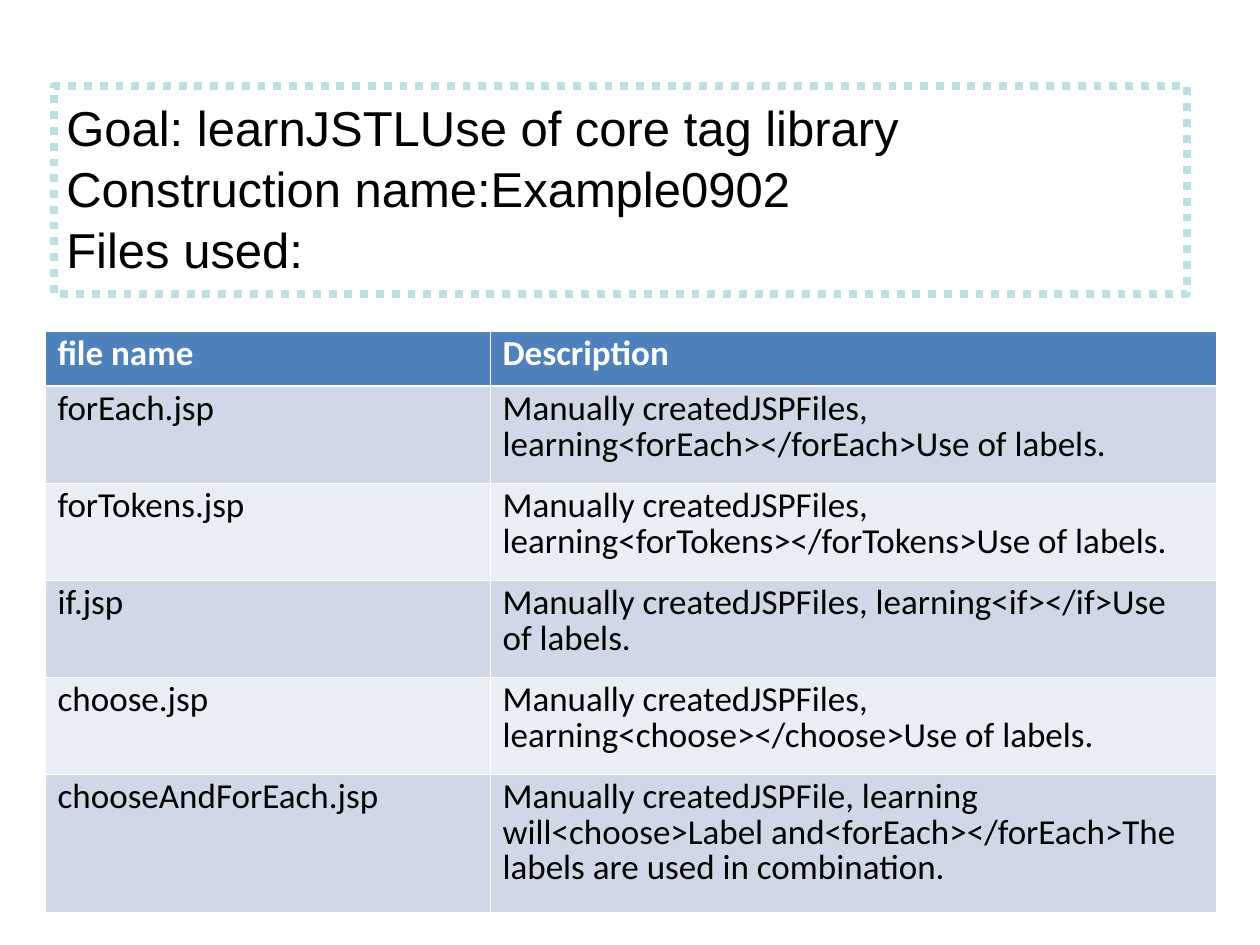
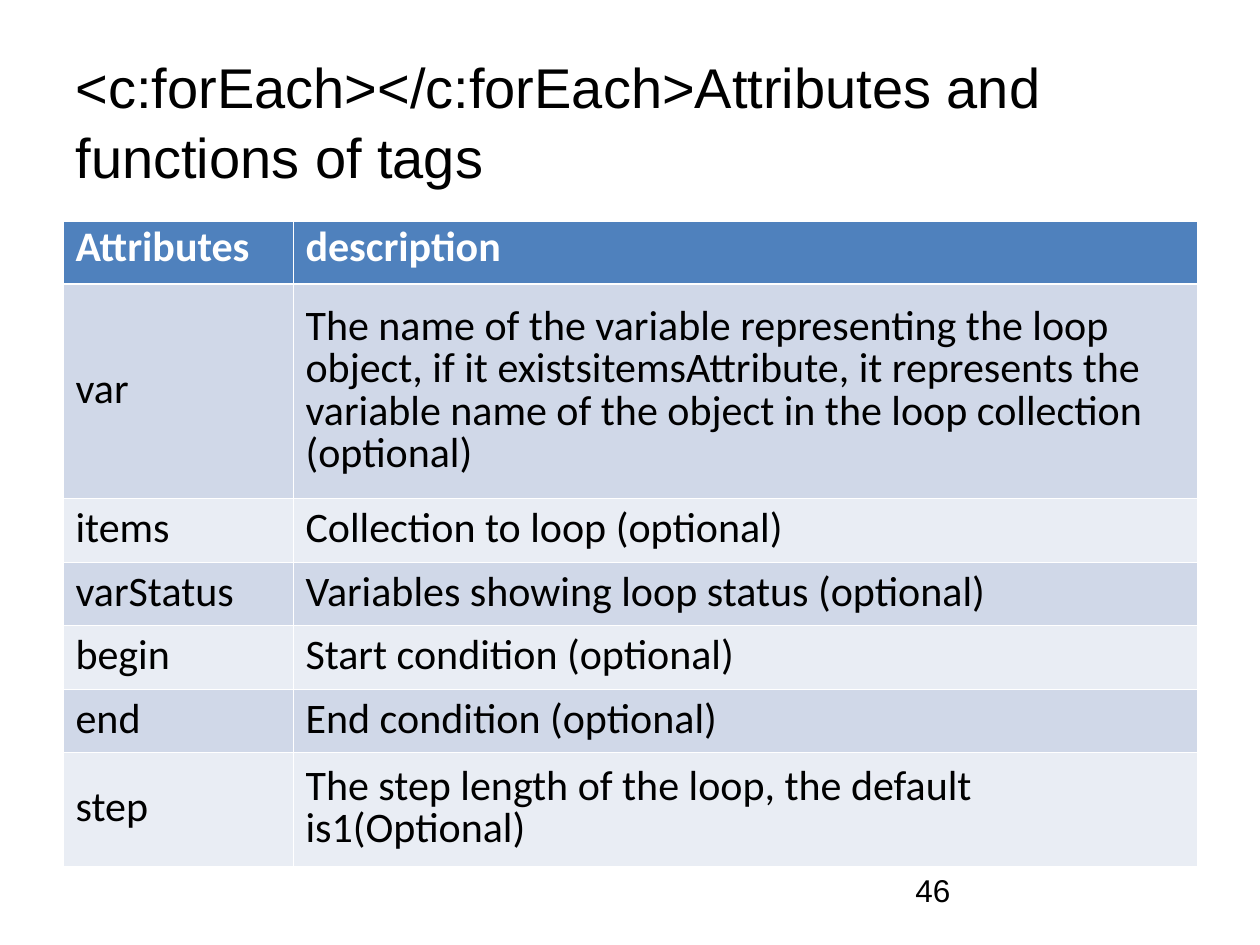
from dataclasses import dataclass

from pptx import Presentation
from pptx.dml.color import RGBColor
from pptx.enum.dml import MSO_LINE
from pptx.enum.text import MSO_ANCHOR, MSO_AUTO_SIZE, PP_ALIGN
from pptx.oxml import parse_xml
from pptx.oxml.ns import nsdecls
from pptx.util import Pt

PX = 914400 / 126  # one px in EMU
SLIDE_SIZE = (1260, 945)
TITLE_ONLY, BLANK = 5, 6


@dataclass(frozen=True)
class Theme:
    text: str = "000000"
    white: str = "FFFFFF"
    header: str = "4F81BD"
    bands: tuple = ("D0D8E8", "E9EDF4")
    frame: str = "BBE0E3"
    text_font: str = "Arial"
    table_font: str = "Calibri"
    title_size: int = 32
    goal_size: int = 28
    number_size: int = 18
    text_spacing: float = 1.04
    table_spacing: float = 0.83
    rule: float = 0.23
    header_rule: float = 0.75
    frame_width: float = 4.5


THEME = Theme()

GOAL = {
    "box": (54, 86, 1133, 208),
    "lines": [
        "Goal: learnJSTLUse of core tag library",
        "Construction name:Example0902",
        "Files used:",
    ],
}

FILES = {
    "at": (45, 331),
    "cols": (445, 726),
    "heights": (55, 97, 97, 97, 97, 138),
    "size": 20,
    "anchor": MSO_ANCHOR.TOP,
    "rows": [
        ("file name", "Description"),
        ("forEach.jsp", "Manually createdJSPFiles, learning<forEach></forEach>Use of labels."),
        ("forTokens.jsp", "Manually createdJSPFiles, learning<forTokens></forTokens>Use of labels."),
        ("if.jsp", "Manually createdJSPFiles, learning<if></if>Use of labels."),
        ("choose.jsp", "Manually createdJSPFiles, learning<choose></choose>Use of labels."),
        ("chooseAndForEach.jsp", "Manually createdJSPFile, learning will<choose>Label and"
                                 "<forEach></forEach>The labels are used in combination."),
    ],
}

TITLE = {
    "box": (63, 38, 1134, 158),
    "lines": ["<c:forEach></c:forEach>Attributes and functions of tags"],
}

ATTRIBUTES = {
    "at": (63, 221),
    "cols": (230, 904),
    "heights": (63, 214, 64, 63, 64, 63, 114),
    "size": 24,
    "anchor": MSO_ANCHOR.MIDDLE,
    "rows": [
        ("Attributes", "description"),
        ("var", "The name of the variable representing the loop object, if it "
                "existsitemsAttribute, it represents the variable name of the object "
                "in the loop collection (optional)"),
        ("items", "Collection to loop (optional)"),
        ("varStatus", "Variables showing loop status (optional)"),
        ("begin", "Start condition (optional)"),
        ("end", "End condition (optional)"),
        ("step", "The step length of the loop, the default is1(Optional)"),
    ],
}

PAGE_NUMBER = {"box": (903, 861, 294, 66), "lines": ["46"]}


def emu(*lengths):
    return [round(n * PX) for n in lengths]


def rgb(color):
    return RGBColor.from_string(color)


def style(p, font, size, color, spacing, bold=False):
    p.alignment = PP_ALIGN.LEFT
    p.line_spacing = spacing
    p.font.name, p.font.size, p.font.bold = font, Pt(size), bold
    p.font.color.rgb = rgb(color)


def fill_text(sp, block, size, anchor=MSO_ANCHOR.TOP, inset_top=9):
    """Place a text shape and write its lines in the shared text style."""
    sp.left, sp.top, sp.width, sp.height = emu(*block["box"])
    tf = sp.text_frame
    tf.word_wrap = True
    tf.auto_size = MSO_AUTO_SIZE.NONE
    tf.vertical_anchor = anchor
    tf.margin_top, = emu(inset_top)
    tf.text = "\n".join(block["lines"])
    for p in tf.paragraphs:
        style(p, THEME.text_font, size, THEME.text, THEME.text_spacing)


def add_text(slide, block, size):
    sp = slide.shapes.add_textbox(*emu(*block["box"]))
    fill_text(sp, block, size)
    return sp


def add_borders(cell, row):
    """Rule all four sides, heavier between the header and the first row."""
    widths = {"L": THEME.rule, "R": THEME.rule,
              "T": THEME.header_rule if row == 1 else THEME.rule,
              "B": THEME.header_rule if row == 0 else THEME.rule}
    tc_pr = cell._tc.get_or_add_tcPr()
    for side, width in widths.items():
        tc_pr.append(parse_xml(
            f'<a:ln{side} {nsdecls("a")} w="{Pt(width)}"><a:solidFill>'
            f'<a:srgbClr val="{THEME.white}"/></a:solidFill></a:ln{side}>'))


def add_banded_table(slide, data):
    cols, heights = data["cols"], data["heights"]
    table = slide.shapes.add_table(
        len(heights), len(cols), *emu(*data["at"], sum(cols), sum(heights))).table
    table.first_row = table.horz_banding = False
    for column, width in zip(table.columns, emu(*cols)):
        column.width = width
    for row, height in zip(table.rows, emu(*heights)):
        row.height = height
    for r, texts in enumerate(data["rows"]):
        is_header = r == 0
        for c, text in enumerate(texts):
            cell = table.cell(r, c)
            add_borders(cell, r)
            cell.fill.solid()
            cell.fill.fore_color.rgb = rgb(
                THEME.header if is_header else THEME.bands[(r - 1) % 2])
            cell.vertical_anchor = MSO_ANCHOR.TOP if is_header else data["anchor"]
            cell.text = text
            style(cell.text_frame.paragraphs[0], THEME.table_font, data["size"],
                  THEME.white if is_header else THEME.text,
                  THEME.table_spacing, is_header)


def build_files_slide(prs):
    slide = prs.slides.add_slide(prs.slide_layouts[BLANK])
    sp = add_text(slide, GOAL, THEME.goal_size)
    sp.line.color.rgb = rgb(THEME.frame)
    sp.line.width = Pt(THEME.frame_width)
    sp.line.dash_style = MSO_LINE.ROUND_DOT
    add_banded_table(slide, FILES)


def build_attributes_slide(prs):
    slide = prs.slides.add_slide(prs.slide_layouts[TITLE_ONLY])
    fill_text(slide.shapes.title, TITLE, THEME.title_size, MSO_ANCHOR.MIDDLE, 11)
    add_banded_table(slide, ATTRIBUTES)
    add_text(slide, PAGE_NUMBER, THEME.number_size)


def main():
    prs = Presentation()
    prs.slide_width, prs.slide_height = emu(*SLIDE_SIZE)
    build_files_slide(prs)
    build_attributes_slide(prs)
    prs.save("out.pptx")


if __name__ == "__main__":
    main()
